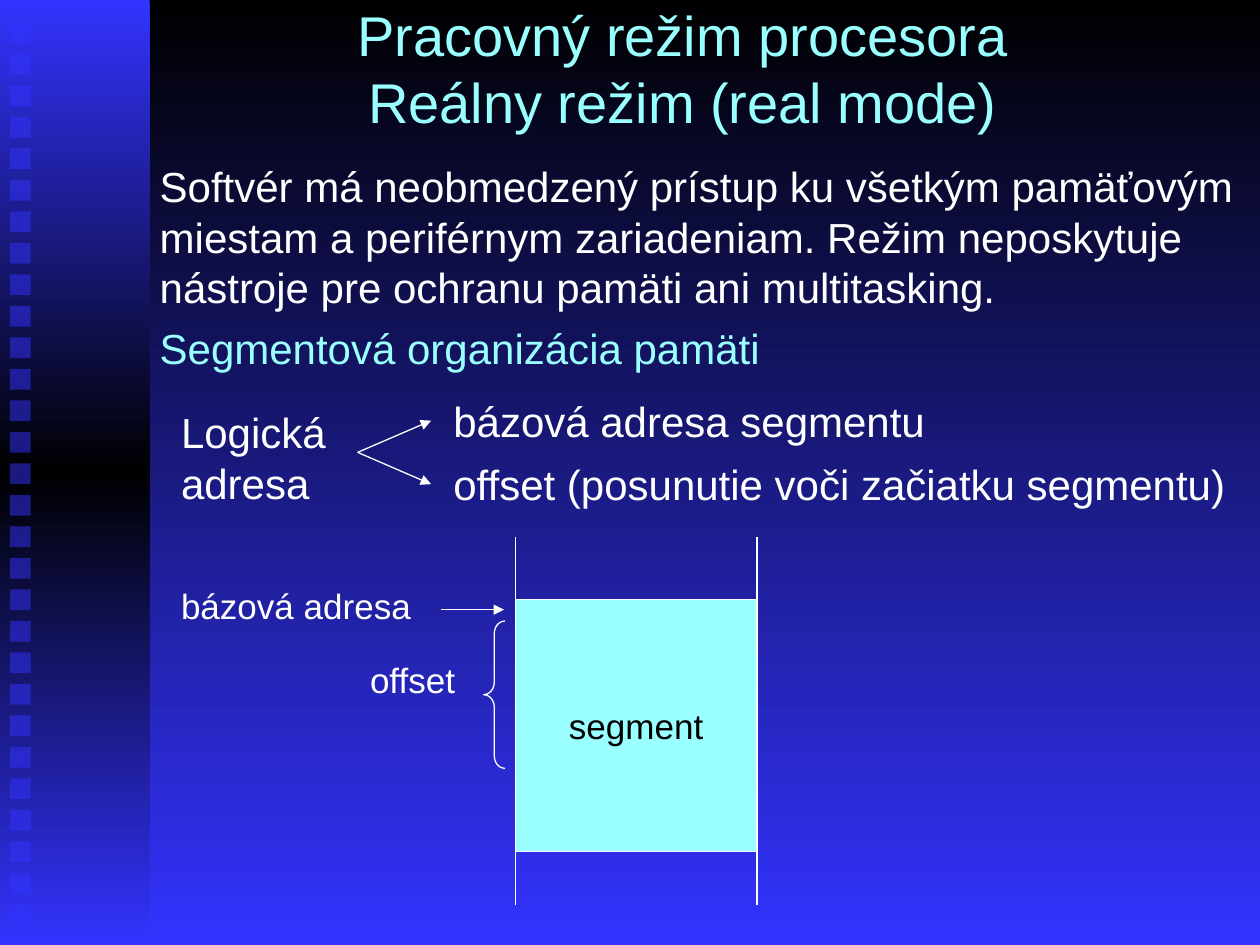
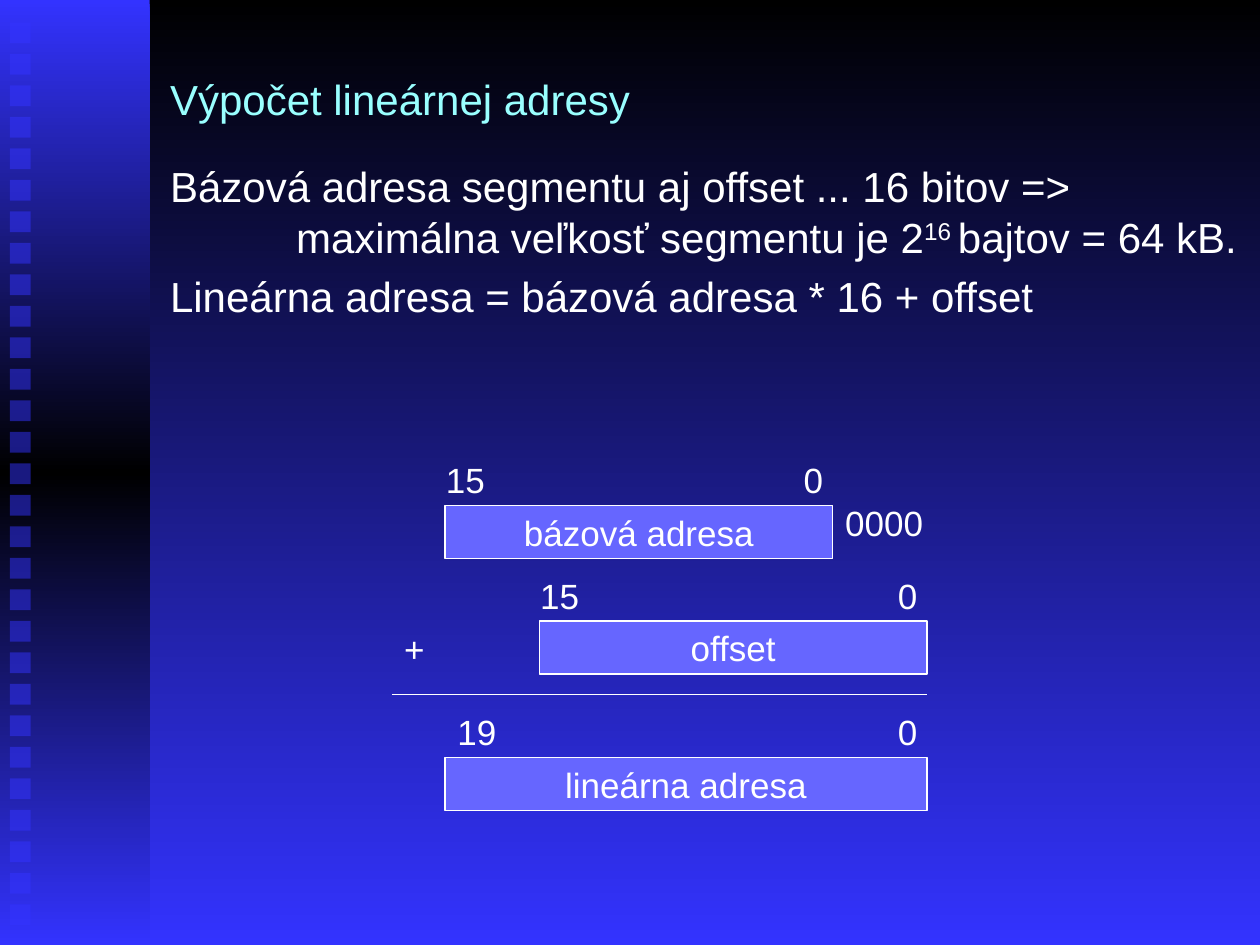
from lxml.etree import SubElement
from pptx import Presentation
from pptx.dml.color import RGBColor
from pptx.enum.shapes import MSO_CONNECTOR, MSO_SHAPE
from pptx.enum.text import MSO_ANCHOR, PP_ALIGN
from pptx.oxml.ns import qn
from pptx.util import Cm, Pt

FONT = "Arial"
WHITE, BLACK = "FFFFFF", "000000"
BLUE, CYAN, REGISTER_BLUE = "3333FF", "99FFFF", "6666FF"
SLIDE_WIDTH, SLIDE_HEIGHT = 25.4, 19.05
SQUARE_COUNT, SQUARE_PITCH = 29, SLIDE_HEIGHT / 30
REGISTER_HEIGHT = 1.07
LABEL_HEIGHT = 1.09


def colour(hex_code):
    """Turn a hex string into a colour."""
    return RGBColor.from_string(hex_code)


def paint_gradient(fill, element, hex_codes):
    """Fill from top to bottom with evenly spaced colour stops."""
    fill.gradient()
    fill.gradient_angle = 270
    stops = element.find(".//" + qn("a:gsLst"))
    stops.clear()
    for index, hex_code in enumerate(hex_codes):
        position = round(100000 * index / (len(hex_codes) - 1))
        stop = SubElement(stops, qn("a:gs"), pos=str(position))
        SubElement(stop, qn("a:srgbClr"), val=hex_code)


def write(paragraph, text, size=24, hex_code=WHITE, align=PP_ALIGN.LEFT,
          space_before=0, indent=0):
    """Write text into a paragraph; parts between carets are superscript."""
    paragraph.alignment = align
    paragraph.space_before = Pt(space_before)
    if indent:
        properties = paragraph._p.get_or_add_pPr()
        properties.set("marL", str(Cm(indent)))
        properties.set("indent", "0")
    for line_index, line in enumerate(text.split("\n")):
        if line_index:
            paragraph.add_line_break()
        for part_index, part in enumerate(line.split("^")):
            run = paragraph.add_run()
            run.text = part
            run.font.name = FONT
            run.font.size = Pt(size)
            run.font.color.rgb = colour(hex_code)
            if part_index % 2:
                run._r.get_or_add_rPr().set("baseline", "30000")


def add_text(slide, left, top, width, height, text,
             anchor=MSO_ANCHOR.TOP, **text_format):
    """Add a wrapping text box and return its text frame."""
    box = slide.shapes.add_textbox(Cm(left), Cm(top), Cm(width), Cm(height))
    frame = box.text_frame
    frame.word_wrap = True
    frame.vertical_anchor = anchor
    write(frame.paragraphs[0], text, **text_format)
    return frame


def add_label(slide, left, top, width, text):
    """Add a small one-line diagram label."""
    add_text(slide, left, top, width, LABEL_HEIGHT, text, size=20)


def add_title(slide, left, top, height, text, **text_format):
    """Add the slide title."""
    add_text(slide, left, top, 21.59, height, text,
             anchor=MSO_ANCHOR.MIDDLE, hex_code=CYAN, **text_format)


def add_shape(shapes, kind, left, top, width, height, fill=None, line=None):
    """Add a preset shape without shadow."""
    shape = shapes.add_shape(kind, Cm(left), Cm(top), Cm(width), Cm(height))
    shape.shadow.inherit = False
    if fill:
        shape.fill.solid()
        shape.fill.fore_color.rgb = colour(fill)
    else:
        shape.fill.background()
    if line:
        shape.line.color.rgb = colour(line)
        shape.line.width = Pt(0.75)
    else:
        shape.line.fill.background()
    return shape


def add_captioned_box(slide, left, top, width, height, text, fill, hex_code):
    """Add an outlined rectangle with a centred caption."""
    shape = add_shape(slide.shapes, MSO_SHAPE.RECTANGLE,
                      left, top, width, height, fill, WHITE)
    shape.text_frame.word_wrap = False
    shape.text_frame.vertical_anchor = MSO_ANCHOR.MIDDLE
    write(shape.text_frame.paragraphs[0], text, size=20, hex_code=hex_code,
          align=PP_ALIGN.CENTER)


def add_line(slide, start, end, width=0.75, arrow=False):
    """Add a straight white line, optionally with an arrowhead at its end."""
    line = slide.shapes.add_connector(
        MSO_CONNECTOR.STRAIGHT, *(Cm(value) for value in start + end))
    line.line.color.rgb = colour(WHITE)
    line.line.width = Pt(width)
    if arrow:
        SubElement(line.line._get_or_add_ln(), qn("a:tailEnd"), type="triangle")
    SubElement(line._element.spPr, qn("a:effectLst"))


def add_register(slide, left, top, width, text, high_bit, label_shift):
    """Add a register box with its highest and lowest bit numbers above."""
    add_captioned_box(slide, left, top, width, REGISTER_HEIGHT, text,
                      REGISTER_BLUE, WHITE)
    label_top = top - REGISTER_HEIGHT
    add_label(slide, left + label_shift, label_top, 1.9, high_bit)
    add_label(slide, left + width - 0.84, label_top, 1.27, "0")


def add_base_slide(presentation):
    """Add a blank slide with the gradient background and the left band."""
    slide = presentation.slides.add_slide(presentation.slide_layouts[6])
    paint_gradient(slide.background.fill, slide._element, [BLACK, BLUE])
    band_shapes = slide.shapes.add_group_shape().shapes
    band = add_shape(band_shapes, MSO_SHAPE.RECTANGLE, 0, 0, 3.02, SLIDE_HEIGHT)
    paint_gradient(band.fill, band._element, [BLUE, BLACK, BLUE])
    for index in range(SQUARE_COUNT):
        square = add_shape(band_shapes, MSO_SHAPE.RECTANGLE, 0.2,
                           0.45 + index * SQUARE_PITCH, 0.42, 0.42, BLUE)
        square_colour = square._element.spPr.find(".//" + qn("a:srgbClr"))
        SubElement(square_colour, qn("a:alpha"), val="50000")
    return slide


def build_real_mode(presentation):
    """Build the slide on real mode and memory segments."""
    slide = add_base_slide(presentation)
    add_title(slide, 2.97, -0.13, 3,
              "Pracovný režim procesora\nReálny režim (real mode)",
              size=32, align=PP_ALIGN.CENTER)
    add_text(slide, 2.97, 3.12, 22.43, 3.33,
             "Softvér má neobmedzený prístup ku všetkým pamäťovým miestam "
             "a periférnym zariadeniam. Režim neposkytuje nástroje pre "
             "ochranu pamäti ani multitasking.")
    add_text(slide, 2.97, 6.38, 22.02, 1.27, "Segmentová organizácia pamäti",
             hex_code=CYAN)

    add_text(slide, 3.4, 8.08, 4.01, 2.29, "Logická adresa")
    add_text(slide, 8.89, 7.85, 11.63, 1.27, "bázová adresa segmentu")
    add_text(slide, 8.89, 9.12, 16.51, 1.27,
             "offset (posunutie voči začiatku segmentu)")
    for arrow_end in (8.48, 9.76):
        add_line(slide, (7.21, 9.12), (8.69, arrow_end), arrow=True)

    segment_left, segment_width = 10.39, 4.87
    add_captioned_box(slide, segment_left, 12.09, segment_width, 5.08,
                      "segment", CYAN, BLACK)
    for x in (segment_left, segment_left + segment_width):
        add_line(slide, (x, 10.82), (x, 18.24))
    add_label(slide, 3.4, 11.66, 5.28, "bázová adresa")
    add_line(slide, (8.89, 12.29), (10.16, 12.29), arrow=True)
    add_label(slide, 7.21, 13.16, 2.54, "offset")
    brace = add_shape(slide.shapes, MSO_SHAPE.LEFT_BRACE,
                      9.75, 12.52, 0.43, 2.97, line=WHITE)
    brace.adjustments[0] = 0.58


def build_linear_address(presentation):
    """Build the slide on computing the linear address."""
    slide = add_base_slide(presentation)
    add_title(slide, 3.18, 1.27, 1.45, "Výpočet lineárnej adresy")
    frame = add_text(slide, 3.18, 3.12, 22.22, 4.22,
                     "Bázová adresa segmentu aj offset ... 16 bitov =>")
    write(frame.add_paragraph(),
          "maximálna veľkosť segmentu je 2^16 ^bajtov = 64 kB.", indent=2.54)
    write(frame.add_paragraph(),
          "Lineárna adresa = bázová adresa * 16 + offset", space_before=4.8)

    add_register(slide, 8.97, 10.19, 7.82, "bázová adresa", "15", -0.23)
    add_label(slide, 16.79, 9.98, 2.11, "0000")
    add_register(slide, 10.87, 12.52, 7.82, "offset", "15", -0.23)
    add_label(slide, 7.9, 12.52, 1.27, "+")
    add_line(slide, (7.9, 14), (18.69, 14), width=1)
    add_register(slide, 8.97, 15.27, 9.72, "lineárna adresa", "19", 0)


def main():
    """Build and save the presentation."""
    presentation = Presentation()
    presentation.slide_width = Cm(SLIDE_WIDTH)
    presentation.slide_height = Cm(SLIDE_HEIGHT)
    build_real_mode(presentation)
    build_linear_address(presentation)
    presentation.save("out.pptx")


if __name__ == "__main__":
    main()
